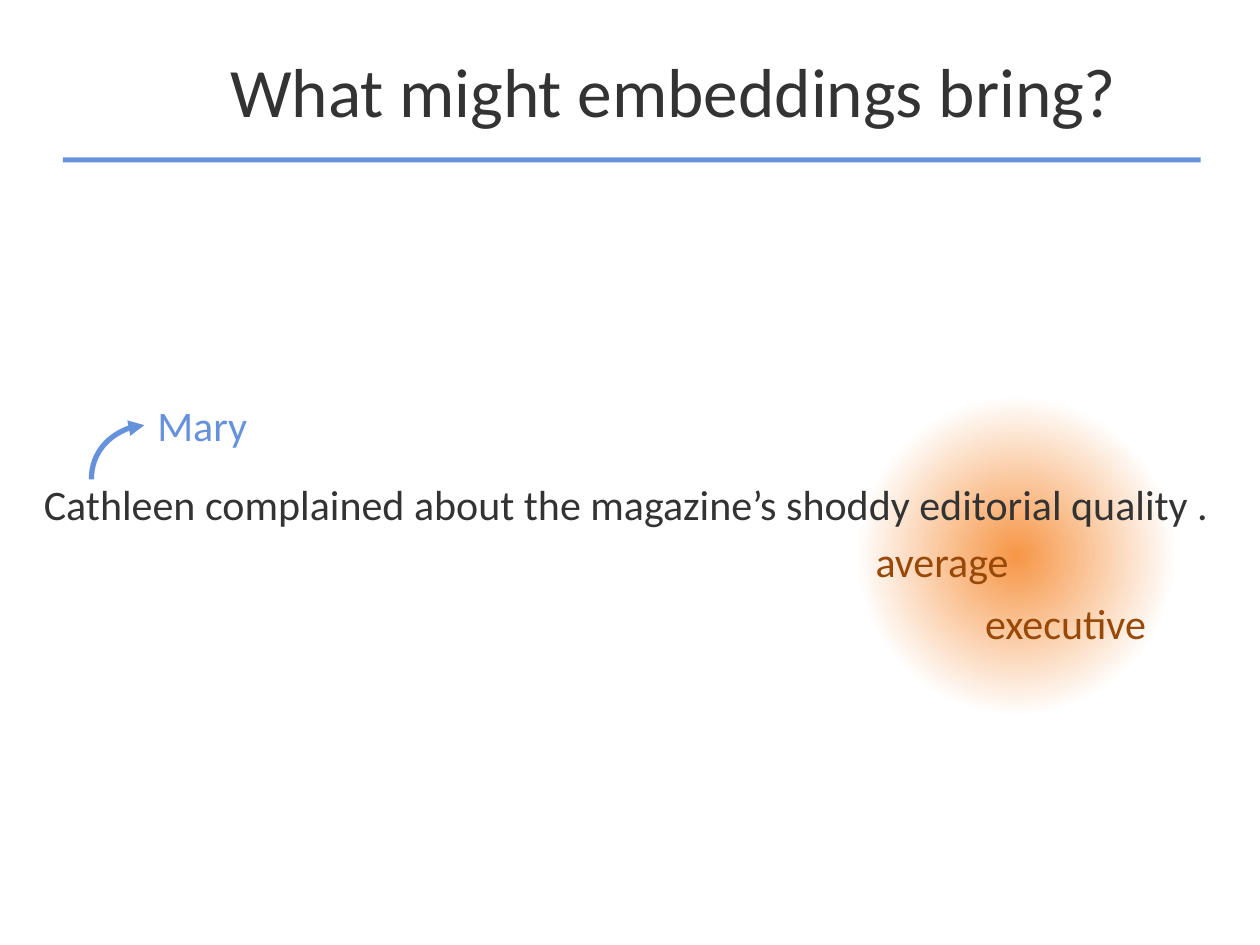
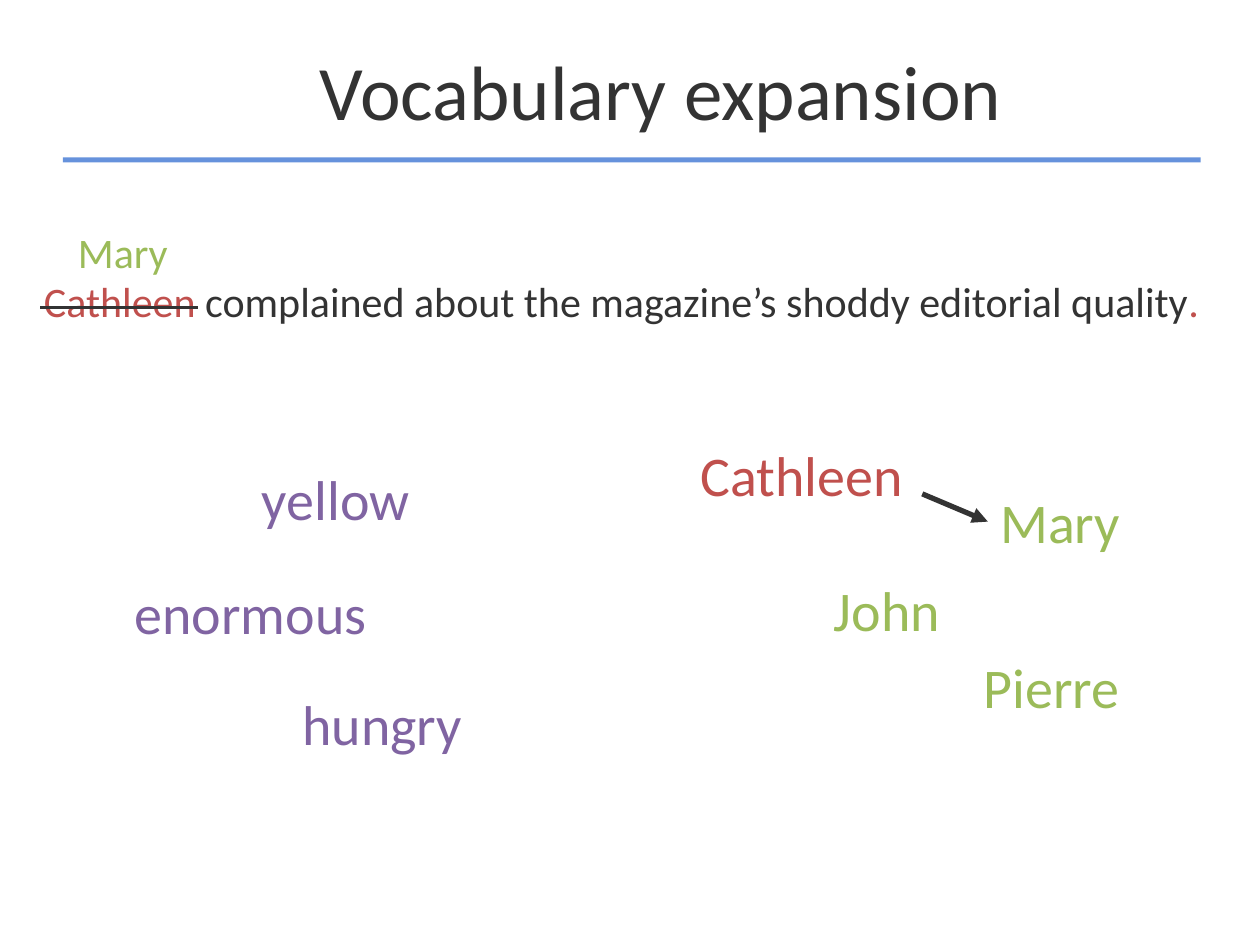
from dataclasses import dataclass

from lxml.etree import SubElement
from pptx import Presentation
from pptx.dml.color import RGBColor
from pptx.enum.shapes import MSO_CONNECTOR, MSO_SHAPE
from pptx.enum.text import MSO_ANCHOR, MSO_AUTO_SIZE, PP_ALIGN
from pptx.oxml import parse_xml
from pptx.oxml.ns import nsdecls, qn
from pptx.util import Inches, Pt


@dataclass(frozen=True)
class Theme:
    font: str = "Calibri"
    ink: str = "333333"
    blue: str = "6692DC"
    orange: str = "F79646"
    brown: str = "984807"
    green: str = "9BBB59"
    purple: str = "8064A2"
    red: str = "C0504D"
    title: float = 44
    long_title: float = 39.6
    cloud: float = 32
    sentence: float = 24


@dataclass(frozen=True)
class Box:
    left: float
    top: float
    width: float
    height: float

    def region(self, column, row, columns, rows):
        return Box(self.left + column, self.top + row, columns, rows)

    def point(self, column, row):
        return grid(self.left + column), grid(self.top + row)

    def emu(self):
        return [grid(n) for n in (self.left, self.top, self.width, self.height)]


THEME = Theme()
COLUMNS, ROWS = 100, 75
UNIT = Inches(10) / COLUMNS
LINE_ROWS = {THEME.sentence: 5, THEME.cloud: 6.4}
PAGE = Box(0, 0, COLUMNS, ROWS)
HEADER = PAGE.region(5, 1.6, 90.3, 11.3)


def grid(units):
    return round(units * UNIT)


def rgb(color):
    return RGBColor.from_string(color)


def add_text(slide, box, text, *, size=THEME.sentence, color=THEME.ink,
             align=PP_ALIGN.LEFT, anchor=MSO_ANCHOR.TOP, wrap=False, indent=1):
    runs = [(text, color)] if isinstance(text, str) else text
    frame = slide.shapes.add_textbox(*box.emu()).text_frame
    frame.word_wrap = wrap
    frame.auto_size = MSO_AUTO_SIZE.NONE if wrap else MSO_AUTO_SIZE.SHAPE_TO_FIT_TEXT
    frame.vertical_anchor = anchor
    frame.margin_left = grid(indent)
    paragraph = frame.paragraphs[0]
    paragraph.alignment = align
    for words, run_color in runs:
        run = paragraph.add_run()
        run.text = words
        run.font.name = THEME.font
        run.font.size = Pt(size)
        run.font.color.rgb = rgb(run_color)


def add_word(slide, box, word, column, row, columns, **style):
    rows = LINE_ROWS[style.get("size", THEME.sentence)]
    add_text(slide, box.region(column, row, columns, rows), word, **style)


def add_line(slide, start, end, *, color=THEME.ink, weight=3, arrow=False,
             kind=MSO_CONNECTOR.STRAIGHT):
    line = slide.shapes.add_connector(kind, *start, *end)
    line.line.color.rgb = rgb(color)
    line.line.width = Pt(weight)
    properties = line._element.spPr
    if arrow:
        SubElement(properties.find(qn("a:ln")), qn("a:tailEnd"), type="triangle")
    SubElement(properties, qn("a:effectLst"))
    return line


def add_quarter_arrow(slide, box, color):
    arrow = add_line(slide, box.point(box.width, box.height), box.point(0, 0),
                     color=color, arrow=True, kind=MSO_CONNECTOR.CURVE)
    properties = arrow._element.spPr
    properties.find(qn("a:prstGeom")).set("prst", "curvedConnector2")
    properties.find(qn("a:xfrm")).set("rot", str(90 * 60000))


def add_glow(slide, box, color):
    glow = slide.shapes.add_shape(MSO_SHAPE.OVAL, *box.emu())
    glow.shadow.inherit = False
    glow.line.fill.background()
    glow.fill.background()
    properties = glow._element.spPr
    properties.replace(properties.find(qn("a:noFill")), parse_xml(
        f'<a:gradFill {nsdecls("a")} rotWithShape="1"><a:gsLst>'
        f'<a:gs pos="0"><a:srgbClr val="{color}"/></a:gs>'
        f'<a:gs pos="65000"><a:srgbClr val="{color}"><a:alpha val="0"/></a:srgbClr></a:gs>'
        '</a:gsLst><a:path path="circle">'
        '<a:fillToRect l="50000" t="50000" r="50000" b="50000"/>'
        '</a:path></a:gradFill>'))


def add_header(slide, box, title, size=THEME.title, indent=1):
    rule = slide.shapes.add_shape(
        MSO_SHAPE.RECTANGLE, *box.region(0, box.height - 0.4, box.width, 0.4).emu())
    rule.shadow.inherit = False
    rule.fill.solid()
    rule.fill.fore_color.rgb = rgb(THEME.blue)
    rule.line.fill.background()
    add_text(slide, box.region(8.3, 0, 78.3, 11), title, size=size, indent=indent,
             align=PP_ALIGN.CENTER, anchor=MSO_ANCHOR.MIDDLE, wrap=True)


def add_neighbours(slide, box):
    add_glow(slide, box.region(63.6, 0.2, 29.1, 25.4), THEME.orange)
    add_word(slide, box,
             "Cathleen complained about the magazine’s shoddy editorial quality .",
             0, 6.3, 95.7)
    add_word(slide, box, "Mary", 9, 0, 9.2, color=THEME.blue)
    add_quarter_arrow(slide, box.region(4.7, 2.6, 4.3, 4.2), THEME.blue)
    for word, column, row, columns in (("executive", 74.7, 15.7, 15.1),
                                       ("average", 66, 10.8, 12.9)):
        add_word(slide, box, word, column, row, columns, color=THEME.brown)


def add_replacement(slide, box):
    add_word(slide, box, [
        ("Cathleen ", THEME.red),
        ("complained about the magazine’s shoddy editorial quality", THEME.ink),
        (".", THEME.red)], 0, 3.9, 94.9)
    add_line(slide, box.point(0.7, 6.9), box.point(13.2, 6.9), weight=2)
    add_word(slide, box, "Mary", 2.7, 0, 9.2, color=THEME.green)


def add_cloud(slide, box, words):
    for word, column, row, columns, color in words:
        add_word(slide, box, word, column, row, columns,
                 size=THEME.cloud, color=color)


def add_adjectives(slide, box):
    add_cloud(slide, box, (("yellow", 10.1, 0, 13.9, THEME.purple),
                           ("enormous", 0, 9, 20.6, THEME.purple),
                           ("hungry", 13.3, 17.8, 14.8, THEME.purple)))


def add_names(slide, box):
    add_cloud(slide, box, (("Cathleen", 0, 0, 18.3, THEME.red),
                           ("Mary", 23.8, 3.7, 11.6, THEME.green),
                           ("John", 10.6, 10.7, 10.8, THEME.green),
                           ("Pierre", 22.5, 16.8, 13.1, THEME.green)))
    add_line(slide, box.point(18.6, 4.7), box.point(23.8, 6.9), arrow=True)


def build_embeddings(slide):
    add_header(slide, HEADER, "What might embeddings bring?", THEME.long_title, indent=3)
    add_neighbours(slide, PAGE.region(2.5, 31.2, 95.7, 25.6))


def build_vocabulary(slide):
    add_header(slide, HEADER, "Vocabulary expansion")
    add_replacement(slide, PAGE.region(2.5, 17.5, 94.9, 8.9))
    add_adjectives(slide, PAGE.region(9.7, 36.4, 28.1, 24.2))
    add_names(slide, PAGE.region(54.6, 34.5, 35.6, 23.2))


def main():
    deck = Presentation()
    deck.slide_width, deck.slide_height = grid(COLUMNS), grid(ROWS)
    for build in (build_embeddings, build_vocabulary):
        build(deck.slides.add_slide(deck.slide_layouts[6]))
    deck.save("out.pptx")


if __name__ == "__main__":
    main()
